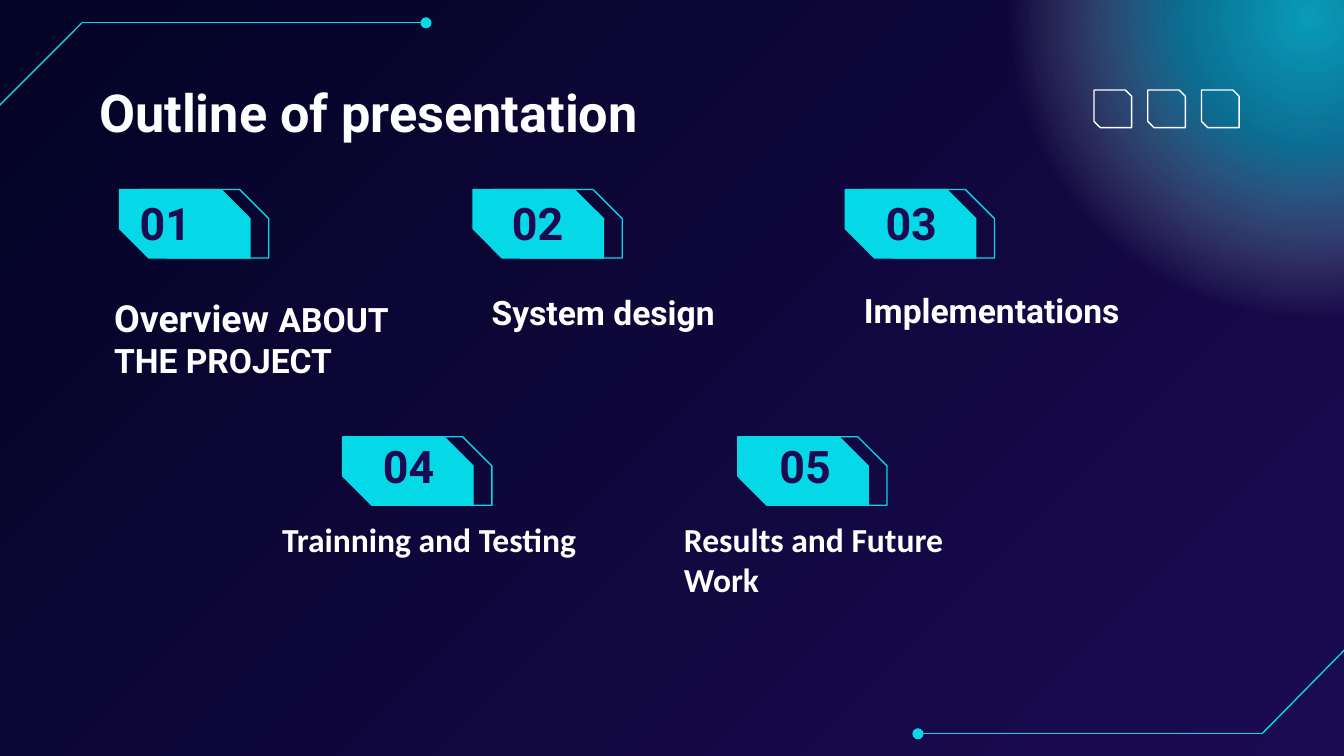
"""Builds the outline slide with five numbered topics."""
from lxml import etree
from pptx import Presentation
from pptx.dml.color import RGBColor
from pptx.enum.shapes import MSO_CONNECTOR, MSO_SHAPE
from pptx.enum.text import MSO_ANCHOR, PP_ALIGN
from pptx.oxml import parse_xml
from pptx.oxml.ns import nsdecls, qn
from pptx.util import Inches, Pt

STRAIGHT = MSO_CONNECTOR.STRAIGHT
SNIPPED, ELLIPSE = MSO_SHAPE.SNIP_2_DIAG_RECTANGLE, MSO_SHAPE.OVAL
TOP, MIDDLE, BOTTOM = MSO_ANCHOR.TOP, MSO_ANCHOR.MIDDLE, MSO_ANCHOR.BOTTOM
LEFT, CENTER = PP_ALIGN.LEFT, PP_ALIGN.CENTER

THEME = {
    "night": "030325", "violet": "1B0B52", "cyan": "05D8E7", "white": "FFFFFF",
    "heading": "Roboto", "body": "Calibri",
    "title": 28, "number": 24, "lead": 20, "topic": 18, "line": 0.75,
}
TITLE = "Outline of presentation"
TOPICS = [
    {"number": "01", "spans": [("Overview ", "lead"), ("ABOUT THE PROJECT", "topic")],
     "tag": (0.89, 1.41), "number_at": (0.89, 1.35), "label": (0.75, 2.43, 2.61, 0.5),
     "font": "heading", "anchor": BOTTOM},
    {"number": "02", "spans": [("System design", "topic")],
     "tag": (3.52, 1.41), "number_at": (3.66, 1.35), "label": (3.56, 2.07, 2.61, 0.5),
     "font": "heading", "anchor": BOTTOM},
    {"number": "03", "spans": [("Implementations", "topic")],
     "tag": (6.29, 1.41), "number_at": (6.44, 1.35), "label": (6.33, 2.06, 2.61, 0.5),
     "font": "heading", "anchor": BOTTOM},
    {"number": "04", "spans": [("Trainning and Testing", "topic")],
     "tag": (2.55, 3.25), "number_at": (2.7, 3.16), "label": (2, 3.76, 2.61, 0.98),
     "font": "body", "anchor": TOP},
    {"number": "05", "spans": [("Results and Future Work", "topic")],
     "tag": (5.49, 3.25), "number_at": (5.65, 3.16), "label": (4.99, 3.76, 2.61, 0.98),
     "font": "body", "anchor": TOP},
]
CIRCUITS = [
    [(-0.02, 0.8), (0.61, 0.17), (3.17, 0.17)],
    [(10.02, 4.82), (9.39, 5.46), (6.83, 5.46)],
]
GLOW_STOPS = [(0, "cyan", 71), (30, "cyan", 48), (69, "white", 0), (100, "white", 0)]
TAG_SIZE, TAG_SNIP, TAG_SHIFT = (0.97, 0.51), 0.426, 0.14
BADGE_START, BADGE_STEP, BADGE_SIZE, BADGE_SNIP = (8.14, 0.67), 0.4, (0.28, 0.28), 0.167


def color(name):
    return RGBColor.from_string(THEME[name])


def paint_background(page):
    fill = page.background.fill
    fill.gradient()
    fill.gradient_angle = 315
    for stop, name in zip(fill.gradient_stops, ("night", "violet")):
        stop.color.rgb = color(name)


def add_glow(page):
    glow = page.shapes.add_shape(ELLIPSE, *map(Inches, (7.45, -2.15, 4.56, 4.56)))
    glow.shadow.inherit = False
    glow.line.fill.background()
    stops = "".join(
        f'<a:gs pos="{place * 1000}"><a:srgbClr val="{THEME[name]}">'
        f'<a:alpha val="{alpha * 1000}"/></a:srgbClr></a:gs>'
        for place, name, alpha in GLOW_STOPS)
    gradient = parse_xml(
        f'<a:gradFill {nsdecls("a")} rotWithShape="1"><a:gsLst>{stops}</a:gsLst>'
        '<a:path path="circle"><a:fillToRect l="50000" t="50000" r="50000" b="50000"/>'
        '</a:path></a:gradFill>')
    glow.fill.background()
    properties = glow.element.spPr
    properties.replace(properties.find(qn("a:noFill")), gradient)


def add_circuit(page, points):
    for start, end in zip(points, points[1:]):
        wire = page.shapes.add_connector(STRAIGHT, *map(Inches, start + end))
        wire.line.color.rgb = color("cyan")
        wire.line.width = Pt(THEME["line"])
        if end == points[-1]:
            etree.SubElement(wire.line._get_or_add_ln(), qn("a:tailEnd"), type="oval")
        etree.SubElement(wire.element.spPr, qn("a:effectLst"))


def add_snipped(page, place, size, snip, line, fill=None):
    shape = page.shapes.add_shape(SNIPPED, *map(Inches, place + size))
    shape.shadow.inherit = False
    shape.adjustments[0], shape.adjustments[1] = 0, snip
    shape.line.color.rgb = color(line)
    shape.line.width = Pt(THEME["line"])
    if fill:
        shape.fill.solid()
        shape.fill.fore_color.rgb = color(fill)
    else:
        shape.fill.background()


def add_text(page, place, spans, ink="white", font="heading", anchor=TOP, align=LEFT):
    box = page.shapes.add_textbox(*map(Inches, place))
    frame = box.text_frame
    frame.word_wrap = True
    frame.vertical_anchor = anchor
    frame.margin_left = frame.margin_right = Inches(0.1)
    frame.margin_top = frame.margin_bottom = Inches(0.1)
    para = frame.paragraphs[0]
    para.alignment = align
    for text, size in spans:
        span = para.add_run()
        span.text = text
        span.font.name = THEME[font]
        span.font.size = Pt(THEME[size])
        span.font.bold = True
        span.font.color.rgb = color(ink)


def add_topic(page, topic):
    left, top = topic["tag"]
    add_snipped(page, (left + TAG_SHIFT, top), TAG_SIZE, TAG_SNIP, "cyan")
    add_snipped(page, (left, top), TAG_SIZE, TAG_SNIP, "cyan", "cyan")
    add_text(page, topic["number_at"] + (0.68, 0.61), [(topic["number"], "number")],
             ink="violet", anchor=MIDDLE, align=CENTER)
    add_text(page, topic["label"], topic["spans"], font=topic["font"], anchor=topic["anchor"])


def main():
    deck = Presentation()
    deck.slide_width = Inches(10)
    deck.slide_height = deck.slide_width * 9 // 16
    page = deck.slides.add_slide(deck.slide_layouts[6])
    paint_background(page)
    add_glow(page)
    for points in CIRCUITS:
        add_circuit(page, points)
    add_text(page, (0.64, 0.5, 8, 1.14), [(TITLE, "title")])
    for topic in TOPICS:
        add_topic(page, topic)
    left, top = BADGE_START
    for index in range(3):
        add_snipped(page, (left + index * BADGE_STEP, top), BADGE_SIZE, BADGE_SNIP, "white")
    deck.save("out.pptx")


if __name__ == "__main__":
    main()
